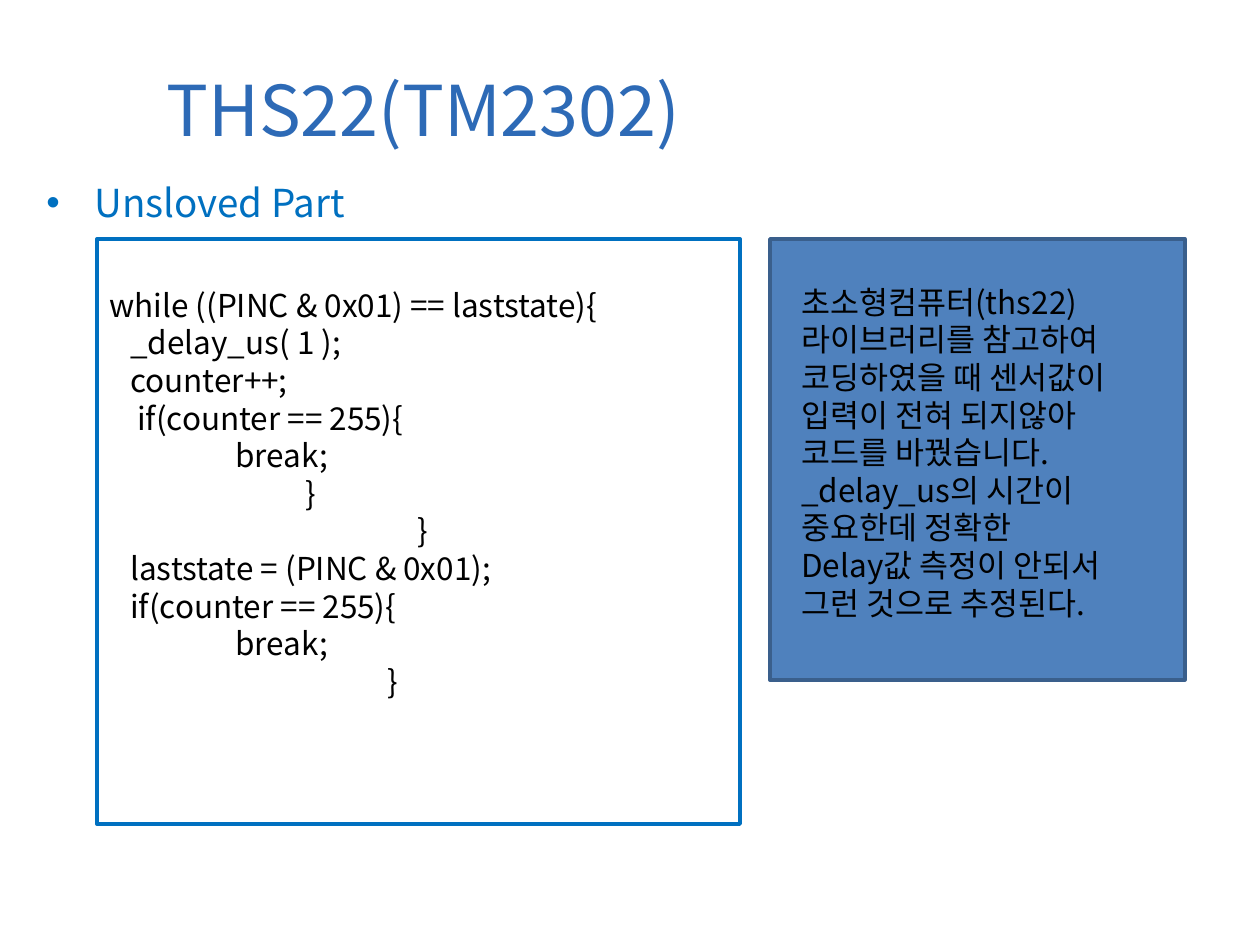
from pptx import Presentation
from pptx.dml.color import RGBColor
from pptx.enum.shapes import MSO_SHAPE
from pptx.enum.text import MSO_ANCHOR, PP_ALIGN
from pptx.oxml.ns import qn
from pptx.util import Pt
from lxml import etree

RECT = MSO_SHAPE.RECTANGLE
TOP, MIDDLE = MSO_ANCHOR.TOP, MSO_ANCHOR.MIDDLE
LEFT = PP_ALIGN.LEFT
PX = 914400 // 126
FONT = "Noto Sans CJK KR"
COLORS = {"title": "2D6AB6", "accent": "0070C0", "panel": "4F81BD",
          "edge": "3A5F8C", "text": "000000"}


def add_text(p, text, size=18, color="text", indent=0, spacing=None):
    p.alignment = LEFT
    p.line_spacing = spacing
    p.space_before = Pt(0)
    pPr = p._p.get_or_add_pPr()
    pPr.set("marL", str(indent * PX))
    pPr.set("indent", "0")
    r = p.add_run()
    r.text = text
    r.font.size = Pt(size)
    r.font.name = FONT
    r.font.color.rgb = RGBColor.from_string(COLORS[color])
    etree.SubElement(r._r.get_or_add_rPr(), qn("a:ea"), typeface=FONT)
    return pPr


def add_box(x, y, w, h, line, width, fill=None):
    sp = s.shapes.add_shape(RECT, x * PX, y * PX, w * PX, h * PX)
    sp.shadow.inherit = False
    if fill:
        sp.fill.solid()
        sp.fill.fore_color.rgb = RGBColor.from_string(COLORS[fill])
    else:
        sp.fill.background()
    sp.line.color.rgb = RGBColor.from_string(COLORS[line])
    sp.line.width = Pt(width)
    return sp


prs = Presentation()
prs.slide_width, prs.slide_height = 1260 * PX, 945 * PX
s = prs.slides.add_slide(prs.slide_layouts[5])

title = s.shapes.title
title.left, title.top, title.width, title.height = 154 * PX, 55 * PX, 794 * PX, 107 * PX
title.text_frame.vertical_anchor = MIDDLE
add_text(title.text_frame.paragraphs[0], "THS22(TM2302)", size=40, color="title")

heading = s.shapes.add_textbox(34 * PX, 173 * PX, 942 * PX, 74 * PX)
heading.text_frame.word_wrap = True
pPr = add_text(heading.text_frame.paragraphs[0], "Unsloved Part",
               size=22, color="accent", indent=48)
pPr.set("indent", str(-48 * PX))
etree.SubElement(pPr, qn("a:buFont"), typeface="Arial")
etree.SubElement(pPr, qn("a:buChar"), char="•")

add_box(770, 239, 415, 441, "edge", 2, fill="panel")
note = s.shapes.add_textbox(789, 273, 377, 432)
note.left, note.top, note.width, note.height = 789 * PX, 273 * PX, 377 * PX, 432 * PX
code = add_box(97, 239, 643, 585, "accent", 2.25)

note_lines = [(0, text) for text in (
    "초소형컴퓨터(ths22)",
    "라이브러리를 참고하여",
    "코딩하였을 때 센서값이 입력이 전혀 되지않아",
    "코드를 바꿨습니다.",
    "_delay_us의 시간이",
    "중요한데 정확한",
    "Delay값 측정이 안되서",
    "그런 것으로 추정된다.",
)]
code_lines = [
    (0, "while ((PINC & 0x01) == laststate){"),
    (21, "_delay_us( 1 );"),
    (21, "counter++;"),
    (28, "if(counter == 255){"),
    (126, "break;"),
    (196, "}"),
    (308, "}"),
    (21, "laststate = (PINC & 0x01);"),
    (21, "if(counter == 255){"),
    (126, "break;"),
    (278, "}"),
]

for sp, inset, lines in ((note, 10, note_lines), (code, 47, code_lines)):
    tf = sp.text_frame
    tf.word_wrap = True
    tf.vertical_anchor = TOP
    tf.margin_top = inset * PX
    for i, (indent, text) in enumerate(lines):
        p = tf.add_paragraph() if i else tf.paragraphs[0]
        add_text(p, text, indent=indent, spacing=Pt(21.5))

prs.save("out.pptx")
